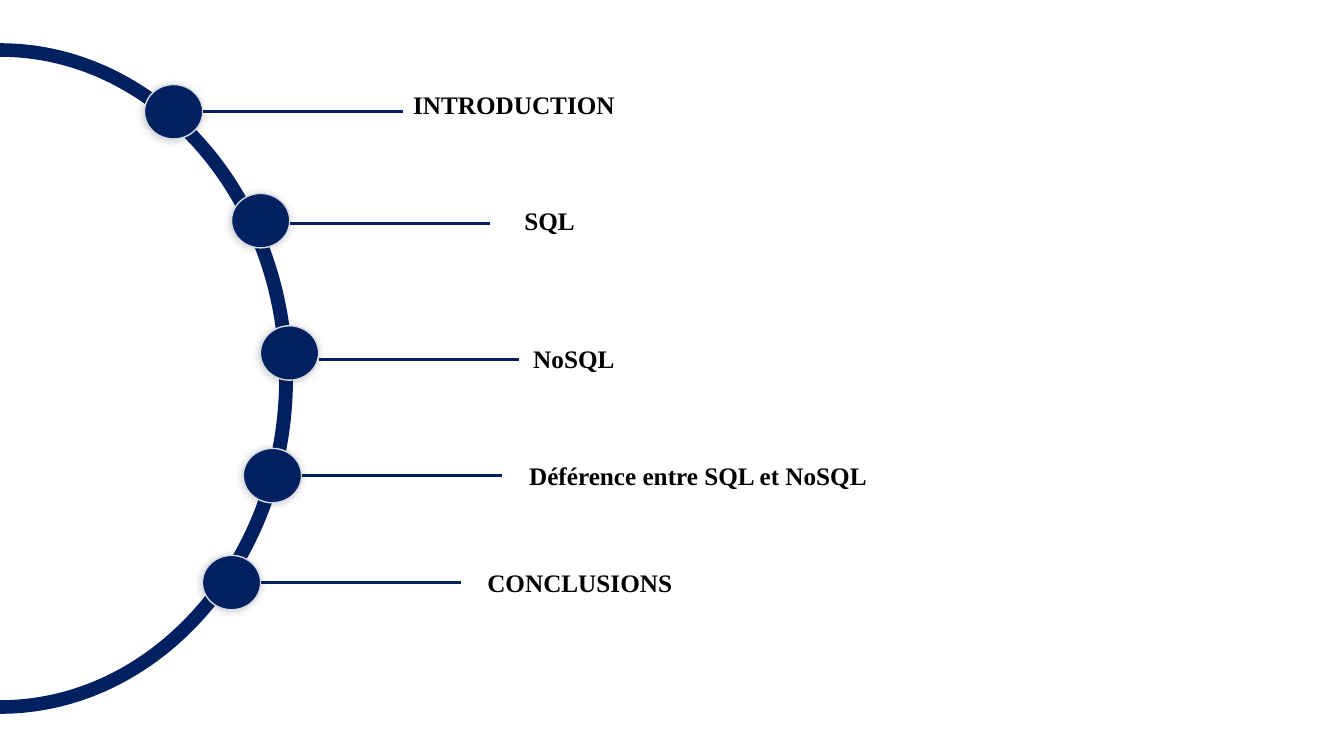
from dataclasses import dataclass

from lxml.etree import SubElement
from pptx import Presentation
from pptx.dml.color import RGBColor
from pptx.enum.shapes import MSO_CONNECTOR, MSO_SHAPE
from pptx.enum.text import MSO_AUTO_SIZE
from pptx.oxml.ns import qn
from pptx.util import Pt


@dataclass(frozen=True)
class Theme:
    navy: RGBColor = RGBColor(0x00, 0x20, 0x60)
    rim: RGBColor = RGBColor(0xD6, 0xDC, 0xE5)
    ink: RGBColor = RGBColor(0, 0, 0)
    shadow: str = "000000"
    face: str = "Times New Roman"
    label_size: Pt = Pt(18)
    rim_width: Pt = Pt(1)
    rule_width: Pt = Pt(2.25)


def apply(target, values):
    for attribute, value in values.items():
        setattr(target, attribute, value)


def half_ellipse(middle, rx, ry, bend=0.55):
    steps = [(0, -1), (bend, -1), (1, -bend), (1, 0),
             (1, bend), (bend, 1), (0, 1)]
    return [(Pt(rx * x), Pt(middle + ry * y)) for x, y in steps]


def curve(corners):
    for first in range(0, len(corners), 3):
        bend = corners[first].getparent()
        arc = bend.makeelement(qn("a:cubicBezTo"))
        corners[first].addprevious(arc)
        for corner in corners[first:first + 3]:
            arc.append(corner[0])
            bend.remove(corner)


class AgendaSlide:
    def __init__(self, slide, theme):
        self.shapes = slide.shapes
        self.theme = theme

    def fill(self, shape):
        shape.fill.solid()
        shape.fill.fore_color.rgb = self.theme.navy
        shape.shadow.inherit = False

    def half_ring(self, middle, outer, inner):
        outline = half_ellipse(middle, *outer) + half_ellipse(middle, *inner)[::-1]
        builder = self.shapes.build_freeform(*outline[0], scale=1.0)
        builder.add_line_segments(outline[1:], close=True)
        ring = builder.convert_to_shape()
        self.fill(ring)
        ring.line.fill.background()
        corners = list(ring.element.iter(qn("a:lnTo")))
        curve(corners[:6])
        curve(corners[7:13])

    def disc(self, left, top, width, height):
        disc = self.shapes.add_shape(
            MSO_SHAPE.OVAL, Pt(left), Pt(top), Pt(width), Pt(height))
        self.fill(disc)
        disc.line.color.rgb = self.theme.rim
        disc.line.width = self.theme.rim_width
        effects = disc.element.spPr.find(qn("a:effectLst"))
        shadow = SubElement(
            effects, qn("a:outerShdw"), blurRad=str(Pt(6)), dist=str(Pt(1)),
            dir="8100000", algn="tr", rotWithShape="0")
        color = SubElement(shadow, qn("a:srgbClr"), val=self.theme.shadow)
        SubElement(color, qn("a:alpha"), val="20000")

    def rule(self, left, y, length):
        rule = self.shapes.add_connector(
            MSO_CONNECTOR.STRAIGHT, Pt(left), Pt(y), Pt(left + length), Pt(y))
        rule.line.color.rgb = self.theme.navy
        rule.line.width = self.theme.rule_width
        SubElement(rule.element.spPr, qn("a:effectLst"))

    def label(self, wording, left, top, width, height):
        frame = self.shapes.add_textbox(
            Pt(left), Pt(top), Pt(width), Pt(height)).text_frame
        apply(frame, {"word_wrap": False,
                      "auto_size": MSO_AUTO_SIZE.SHAPE_TO_FIT_TEXT})
        run = frame.paragraphs[0].add_run()
        run.text = wording
        apply(run.font, {"name": self.theme.face, "bold": True,
                         "size": self.theme.label_size})
        run.font.color.rgb = self.theme.ink


DISC_WIDTH, DISC_HEIGHT = 41.6, 38.9
RULE_LENGTH = 143.2
LABEL_HEIGHT = 28.8

TOPICS = [
    ("INTRODUCTION", (103.2, 60.4), 79.7, (288, 60.5, 159.8)),
    ("SQL", (165.4, 138.2), 159.6, (367.4, 143.1, 51.1)),
    ("NoSQL", (186, 232.7), 256.7, (373.8, 241.5, 73.4)),
    ("Déférence entre SQL et NoSQL", (173.8, 320.3), 339.7,
     (370.9, 325.3, 264.3)),
    ("CONCLUSIONS", (144.6, 396.7), 416, (341, 401.8, 147.6)),
]

deck = Presentation()
apply(deck, {"slide_width": Pt(960), "slide_height": Pt(540)})
agenda = AgendaSlide(deck.slides.add_slide(deck.slide_layouts[6]), Theme())

agenda.half_ring(270.4, outer=(209.3, 239.5), inner=(199.4, 229.8))
for topic, (disc_left, disc_top), rule_y, (left, top, width) in TOPICS:
    agenda.disc(disc_left, disc_top, DISC_WIDTH, DISC_HEIGHT)
    agenda.rule(disc_left + DISC_WIDTH, rule_y, RULE_LENGTH)
    agenda.label(topic, left, top, width, LABEL_HEIGHT)

deck.save("out.pptx")
